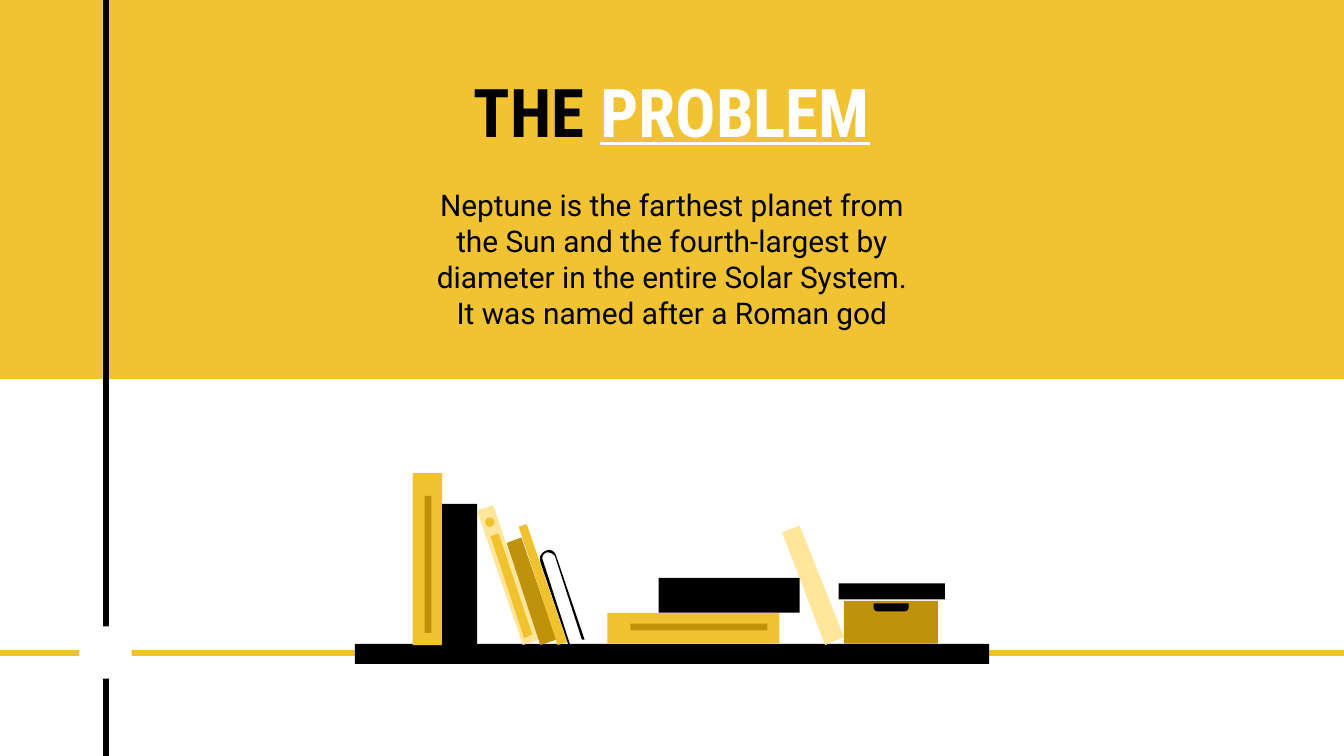
from typing import NamedTuple

from pptx import Presentation
from pptx.dml.color import RGBColor
from pptx.enum.shapes import MSO_CONNECTOR, MSO_SHAPE as Preset
from pptx.enum.text import MSO_ANCHOR as Anchor, PP_ALIGN as Align
from pptx.oxml.ns import qn
from pptx.util import Inches, Pt
from lxml.etree import SubElement

YELLOW, BOOK_YELLOW, OCHRE, CREAM = "F1C232", "F1C22F", "C0920A", "FFE69A"
BLACK, WHITE = "000000", "FFFFFF"

Point = tuple[float, float]


class Block(NamedTuple):
    left: float
    top: float
    width: float
    height: float
    color: str
    preset: Preset = Preset.RECTANGLE
    rotation: float = 0


class Outline(NamedTuple):
    points: list[Point]
    color: str


class Rule(NamedTuple):
    start: Point
    end: Point
    color: str


def paint(target, color: str) -> None:
    """Give a fill, line or font format a solid colour."""
    if hasattr(target, "solid"):
        target.solid()
        target.fore_color.rgb = RGBColor.from_string(color)
    else:
        target.color.rgb = RGBColor.from_string(color)


def finish(shape, color: str) -> None:
    """Leave only a flat fill on a new shape."""
    shape.shadow.inherit = False
    shape.line.fill.background()
    paint(shape.fill, color)


def draw_block(page, block: Block) -> None:
    area = map(Inches, (block.left, block.top, block.width, block.height))
    shape = page.shapes.add_shape(block.preset, *area)
    shape.rotation = block.rotation
    if block.preset == Preset.ROUND_2_SAME_RECTANGLE:
        shape.adjustments[0] = 0.5
    finish(shape, block.color)


def draw_outline(page, outline: Outline) -> None:
    first, *rest = [(Inches(x), Inches(y)) for x, y in outline.points]
    builder = page.shapes.build_freeform(*first)
    builder.add_line_segments(rest, close=True)
    finish(builder.convert_to_shape(), outline.color)


def draw_rule(page, rule: Rule) -> None:
    ends = map(Inches, (*rule.start, *rule.end))
    line = page.shapes.add_connector(MSO_CONNECTOR.STRAIGHT, *ends)
    line.line.width = Pt(3)
    paint(line.line, rule.color)
    SubElement(line._element.spPr, qn("a:effectLst"))


def curve(start: Point, pull_a: Point, pull_b: Point, end: Point,
          steps: int = 8) -> list[Point]:
    """Sample a cubic Bezier curve, both ends included."""
    points = []
    for step in range(steps + 1):
        t = step / steps
        weights = ((1 - t) ** 3, 3 * t * (1 - t) ** 2, 3 * t * t * (1 - t), t ** 3)
        controls = (start, pull_a, pull_b, end)
        points.append(tuple(sum(w * c[axis] for w, c in zip(weights, controls))
                            for axis in (0, 1)))
    return points


def add_text_box(page, left: float, top: float, width: float, height: float,
                 anchor: Anchor):
    """Add a wrapped box with even insets and return its centred paragraph."""
    box = page.shapes.add_textbox(*map(Inches, (left, top, width, height)))
    frame = box.text_frame
    frame.word_wrap = True
    frame.vertical_anchor = anchor
    frame.margin_left = frame.margin_right = Inches(0.1)
    frame.margin_top = frame.margin_bottom = Inches(0.1)
    para = frame.paragraphs[0]
    para.alignment = Align.CENTER
    return para


def add_span(para, text: str, *, font: str, size: float, color: str = BLACK,
             bold: bool = False, underline: bool = False) -> None:
    span = para.add_run()
    span.text = text
    span.font.name = font
    span.font.size = Pt(size)
    span.font.bold = bold
    span.font.underline = underline
    paint(span.font, color)


BACKDROP = [
    Block(0, 0, 10, 2.82, YELLOW),
    Rule((0.79, -0.02), (0.79, 5.65), BLACK),
    Rule((10.2, 4.86), (-0.08, 4.86), YELLOW),
    Block(0.59, 4.66, 0.39, 0.39, WHITE),
]

COVER_TOP = (curve((4.13, 4.14), (4.12, 4.12), (4.09, 4.11), (4.07, 4.11))
             + curve((4.07, 4.11), (4.04, 4.12), (4.03, 4.15), (4.04, 4.17)))
COVER_EDGE = (curve((4.02, 4.18), (4.01, 4.14), (4.03, 4.11), (4.06, 4.1))
              + curve((4.06, 4.1), (4.09, 4.08), (4.13, 4.1), (4.14, 4.14)))

SHELF = [
    Outline(COVER_TOP + [(4.24, 4.77), (4.32, 4.74)], WHITE),
    Block(2.64, 4.79, 4.72, 0.15, BLACK),
    Outline([(5.82, 3.96), (5.95, 3.91), (6.28, 4.74), (6.14, 4.8)], CREAM),
    # Storage box
    Block(6.28, 4.47, 0.7, 0.32, OCHRE),
    Block(6.24, 4.34, 0.79, 0.12, BLACK),
    Block(6.5, 4.49, 0.26, 0.06, BLACK, Preset.ROUND_2_SAME_RECTANGLE, 180),
    # Standing books
    Block(3.07, 3.52, 0.22, 1.28, BOOK_YELLOW),
    Block(3.16, 3.69, 0.05, 1.02, OCHRE),
    Block(3.29, 3.75, 0.26, 1.05, BLACK),
    # Leaning books
    Outline([(4.01, 4.76), (3.67, 3.76), (3.55, 3.8), (3.89, 4.8)], CREAM),
    Block(3.61, 3.85, 0.07, 0.07, BOOK_YELLOW, Preset.OVAL),
    Outline([(3.65, 3.99), (3.71, 3.97), (3.96, 4.72), (3.9, 4.75)], BOOK_YELLOW),
    Outline([(3.77, 4.04), (3.88, 4), (4.14, 4.76), (4.02, 4.8)], OCHRE),
    Outline([(3.86, 3.92), (3.92, 3.9), (4.22, 4.78), (4.15, 4.8)], BOOK_YELLOW),
    Outline(COVER_EDGE + [(4.35, 4.76), (4.33, 4.76)] + COVER_TOP
            + [(4.24, 4.79), (4.23, 4.8)], BLACK),
    # Lying books
    Block(4.52, 4.56, 1.28, 0.23, BOOK_YELLOW),
    Block(4.69, 4.64, 1.02, 0.05, OCHRE),
    Block(4.9, 4.3, 1.05, 0.26, BLACK),
]

DRAWERS = {Block: draw_block, Outline: draw_outline, Rule: draw_rule}


def main() -> None:
    deck = Presentation()
    deck.slide_width = Inches(10)
    deck.slide_height = Inches(10) * 9 // 16
    page = deck.slides.add_slide(deck.slide_layouts[6])
    paint(page.background.fill, WHITE)

    for part in BACKDROP + SHELF:
        DRAWERS[type(part)](page, part)

    title = add_text_box(page, 3, 0.39, 4, 0.83, Anchor.BOTTOM)
    add_span(title, "THE ", font="Roboto Condensed", size=36, bold=True)
    add_span(title, "PROBLEM", font="Roboto Condensed", size=36, color=WHITE,
             bold=True, underline=True)

    body = add_text_box(page, 3.13, 1.29, 3.74, 1.29, Anchor.TOP)
    add_span(body, "Neptune is the farthest planet from the Sun and the "
             "fourth-largest by diameter in the entire Solar System. "
             "It was named after a Roman god", font="Roboto", size=16)

    deck.save("out.pptx")


if __name__ == "__main__":
    main()
